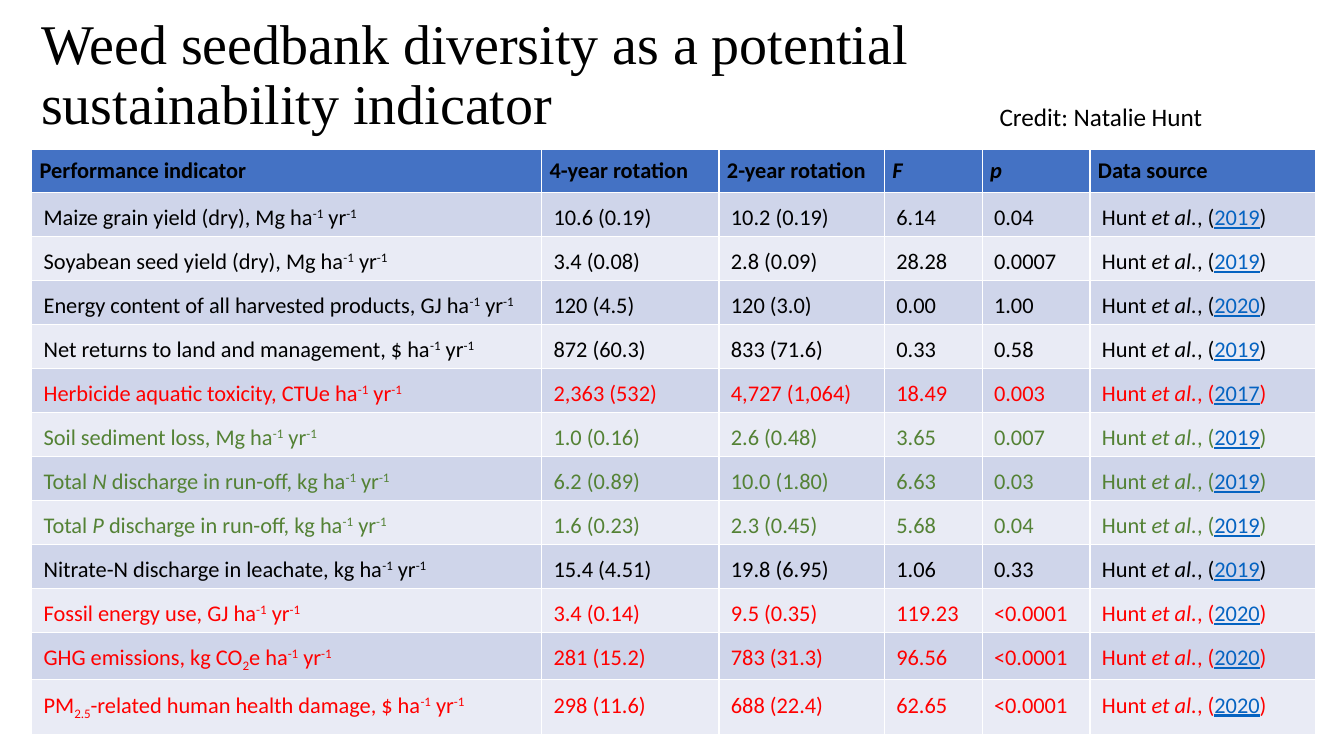
import itertools

import pptx
import pptx.dml.color
import pptx.enum.text
import pptx.util

Cm = pptx.util.Cm
Pt = pptx.util.Pt

COLORS = {
    "black": "000000",
    "red": "FF0000",
    "green": "548235",
    "link": "0563C1",
    "header": "4472C4",
    "odd": "CFD5EA",
    "even": "E9EBF5",
}
BASELINES = {"^": "30000", "~": "-25000"}
PER_AREA_YEAR = " ha^-1^ yr^-1^"
COLUMN_WIDTHS = [12.85, 4.47, 4.17, 2.46, 2.72, 5.69]
HEADINGS = ["Performance indicator", "4-year rotation", "2-year rotation", "*F*", "*p*", "Data source"]
INDICATORS = [
    ("black", "Maize grain yield (dry), Mg", "10.6 (0.19)", "10.2 (0.19)", "6.14", "0.04", "2019"),
    ("black", "Soyabean seed yield (dry), Mg", "3.4 (0.08)", "2.8 (0.09)", "28.28", "0.0007", "2019"),
    ("black", "Energy content of all harvested products, GJ", "120 (4.5)", "120 (3.0)", "0.00", "1.00", "2020"),
    ("black", "Net returns to land and management, $", "872 (60.3)", "833 (71.6)", "0.33", "0.58", "2019"),
    ("red", "Herbicide aquatic toxicity, CTUe", "2,363 (532)", "4,727 (1,064)", "18.49", "0.003", "2017"),
    ("green", "Soil sediment loss, Mg", "1.0 (0.16)", "2.6 (0.48)", "3.65", "0.007", "2019"),
    ("green", "Total *N* discharge in run-off, kg", "6.2 (0.89)", "10.0 (1.80)", "6.63", "0.03", "2019"),
    ("green", "Total *P* discharge in run-off, kg", "1.6 (0.23)", "2.3 (0.45)", "5.68", "0.04", "2019"),
    ("black", "Nitrate-N discharge in leachate, kg", "15.4 (4.51)", "19.8 (6.95)", "1.06", "0.33", "2019"),
    ("red", "Fossil energy use, GJ", "3.4 (0.14)", "9.5 (0.35)", "119.23", "<0.0001", "2020"),
    ("red", "GHG emissions, kg CO~2~e", "281 (15.2)", "783 (31.3)", "96.56", "<0.0001", "2020"),
    ("red", "PM~2.5~-related human health damage, $", "298 (11.6)", "688 (22.4)", "62.65", "<0.0001", "2020"),
]


def rgb(name):
    return pptx.dml.color.RGBColor.from_string(COLORS[name])


def style_run(run, size, font_name="Calibri", color="black", bold=False):
    run.font.size = Pt(size)
    run.font.name = font_name
    run.font.bold = bold
    run.font.color.rgb = rgb(color)


def write_marked(paragraph, marked, color, bold):
    mark = ""
    for is_mark, chars in itertools.groupby(marked, lambda char: char in "^~*_"):
        piece = "".join(chars)
        if is_mark:
            mark = "" if mark else piece
            continue
        run = paragraph.add_run()
        run.text = piece
        style_run(run, 16, color="link" if mark == "_" else color, bold=bold)
        run.font.italic = mark == "*"
        run.font.underline = mark == "_"
        if mark in BASELINES:
            run.font._element.set("baseline", BASELINES[mark])


def fill_row(cells, texts, fill, insets, color="black", bold=False):
    left, top, right, bottom = insets
    for cell, text in zip(cells, texts):
        cell.fill.solid()
        cell.fill.fore_color.rgb = rgb(fill)
        cell.margin_left, cell.margin_top = Cm(left), Cm(top)
        cell.margin_right, cell.margin_bottom = Cm(right), Cm(bottom)
        write_marked(cell.text_frame.paragraphs[0], text, color, bold)


def add_text(slide, box, text, size, font_name):
    frame = slide.shapes.add_textbox(*map(Cm, box)).text_frame
    frame.word_wrap = True
    frame.text = text
    style_run(frame.paragraphs[0].runs[0], size, font_name)
    return frame


def add_title(slide, box):
    title = add_text(slide, box, "Weed seedbank diversity as a potential sustainability indicator",
                     40, "Times New Roman")
    title.vertical_anchor = pptx.enum.text.MSO_ANCHOR.MIDDLE
    title.paragraphs[0].line_spacing = 0.9


def add_credit(slide, box):
    add_text(slide, box, "Credit: Natalie Hunt", 18, "Calibri")


def add_indicator_table(slide, box):
    row_count = len(INDICATORS) + 1
    left, top, width, row_height = box
    table = slide.shapes.add_table(row_count, len(HEADINGS), Cm(left), Cm(top),
                                   Cm(width), Cm(row_height * row_count)).table
    for column, column_width in zip(table.columns, COLUMN_WIDTHS):
        column.width = Cm(column_width)
    for row in table.rows:
        row.height = Cm(row_height)
    fill_row(table.rows[0].cells, HEADINGS, "header", (0.2, 0.2, 0.2, 0.2), bold=True)
    for number, (color, indicator, *values, year) in enumerate(INDICATORS, 1):
        texts = [indicator + PER_AREA_YEAR, *values, f"Hunt *et al.*, (_{year}_)"]
        bottom = 0.3 if number == len(INDICATORS) else 0.13
        fill_row(table.rows[number].cells, texts, "odd" if number % 2 else "even",
                 (0.3, 0.3, 0.3, bottom), color)


def main():
    presentation = pptx.Presentation()
    presentation.slide_width = Cm(33.87)
    presentation.slide_height = Cm(19.05)
    slide = presentation.slides.add_slide(presentation.slide_layouts[6])
    add_title(slide, (0.79, 0.08, 29.21, 3.68))
    add_indicator_table(slide, (0.8, 3.77, sum(COLUMN_WIDTHS), 1.04))
    add_credit(slide, (24.94, 2.44, 9.58, 1.02))
    presentation.save("out.pptx")


if __name__ == "__main__":
    main()
